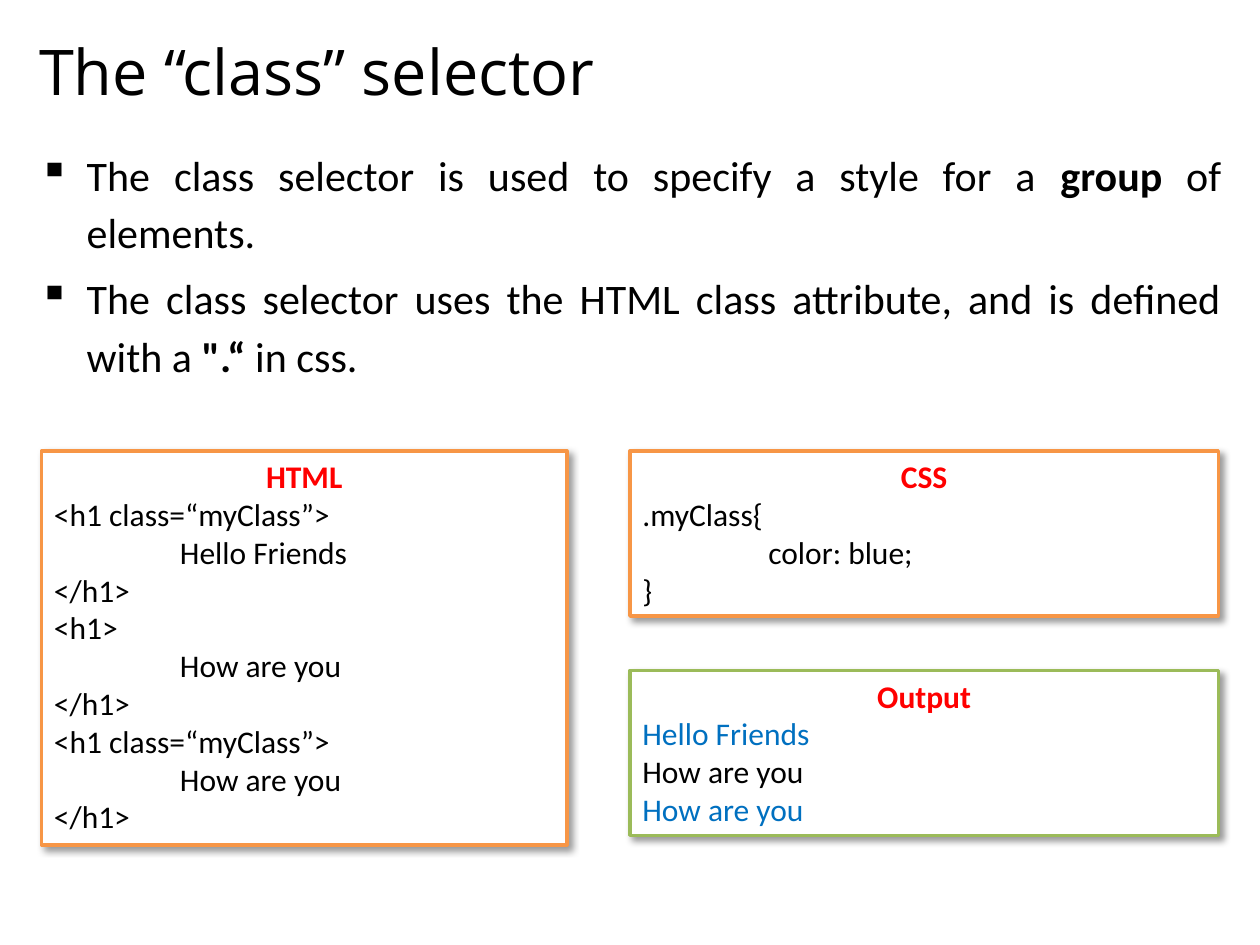
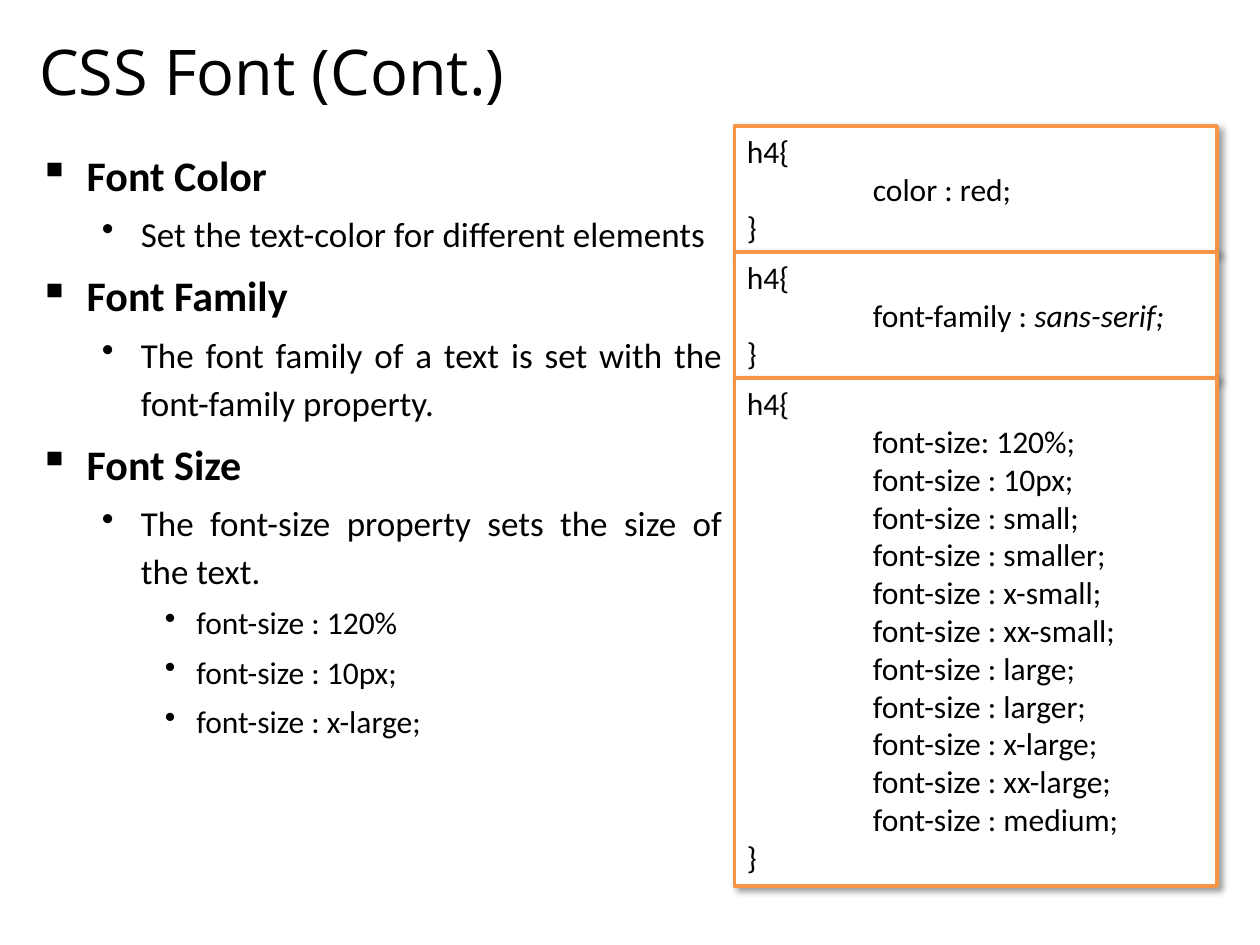
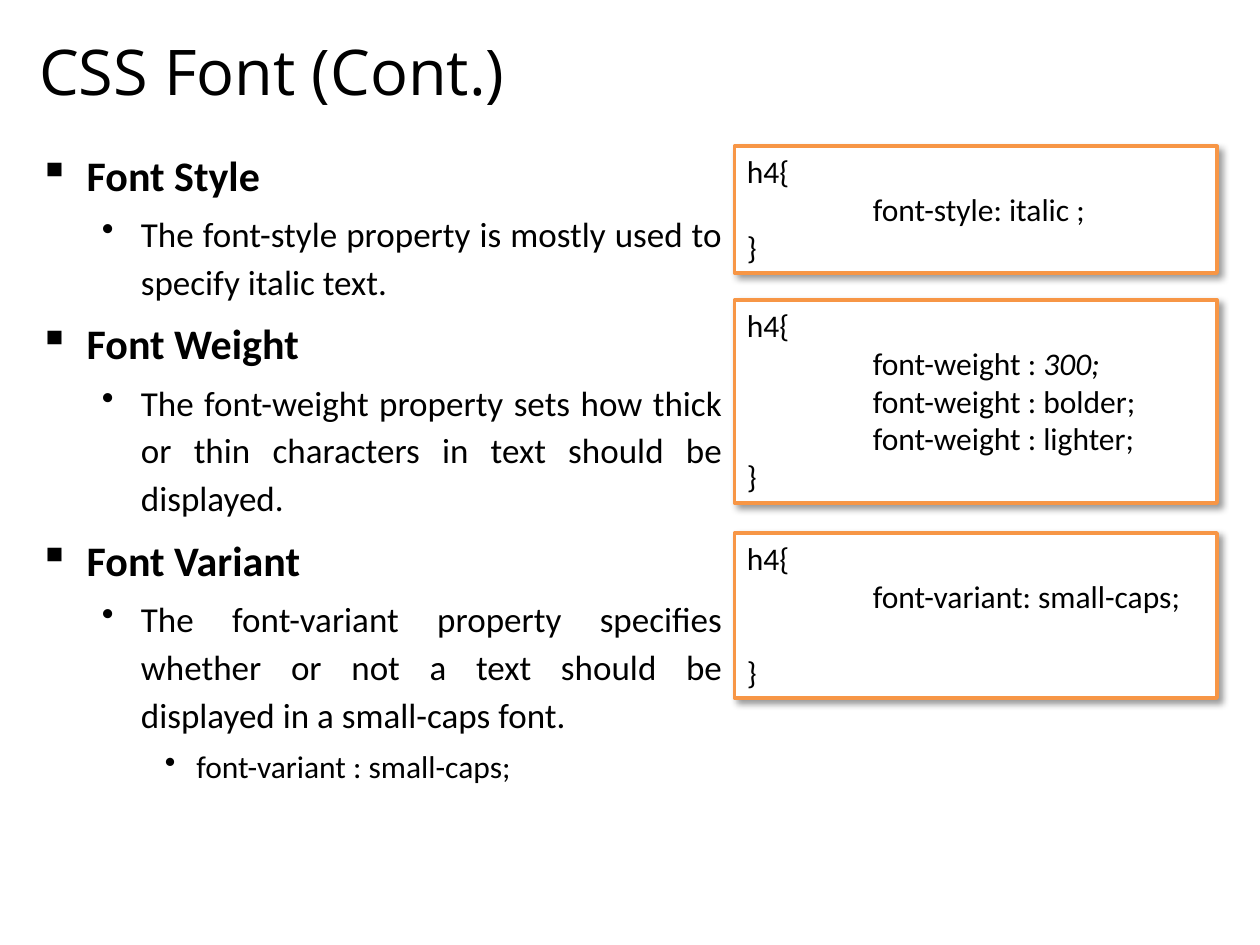
from lxml.etree import SubElement
from pptx import Presentation
from pptx.dml.color import RGBColor
from pptx.enum.shapes import MSO_SHAPE
from pptx.enum.text import MSO_ANCHOR as ANCHOR, MSO_AUTO_SIZE as FIT, PP_ALIGN as ALIGN
from pptx.oxml import parse_xml
from pptx.oxml.ns import nsdecls, qn
from pptx.util import Inches, Pt

COLORS = {"text": "000000", "head": "FF0000", "blue": "0070C0", "white": "FFFFFF",
          "orange": "F79646", "green": "9BBB59"}
BODY = {"line_spacing": 1.14, "alignment": ALIGN.JUSTIFY}
SQUARE = {"bullet": "▪", "margin": 0.38, "hang": 0.38}
STYLES = {
    "title": {"size": 36, "font": "Open Sans", "para": {"alignment": ALIGN.LEFT}},
    "lead": {"size": 24, "para": {**BODY, "space_before": Pt(4.8)}, **SQUARE},
    "topic": {"size": 24, "bold": True, **SQUARE,
              "para": {**BODY, "space_before": Pt(4.8), "alignment": ALIGN.LEFT}},
    "point": {"size": 20, "para": {**BODY, "space_before": Pt(4)}, "level": 1,
              "bullet": "•", "margin": 0.81, "hang": 0.31},
    "item": {"size": 18, "para": {**BODY, "space_before": Pt(3.6)}, "level": 2,
             "bullet": "•", "margin": 1.25, "hang": 0.25},
    "head": {"color": "head", "bold": True, "para": {"alignment": ALIGN.CENTER}},
    "code": {"accent": "italic"},
    "inner": {"accent": "italic", "margin": 1},
    "spaced": {"para": {"alignment": ALIGN.LEFT, "space_before": Pt(22)}},
    "blue": {"color": "blue"},
}
SHADOW = (f'<a:effectLst {nsdecls("a")}><a:outerShdw blurRad="{Pt(4)}" dist="{Pt(3)}" '
          'dir="2700000" algn="tl" rotWithShape="0"><a:srgbClr val="000000">'
          '<a:alpha val="40000"/></a:srgbClr></a:outerShdw></a:effectLst>')


def write(tf, lines):
    for i, (name, text) in enumerate(lines):
        style = STYLES[name]
        p = tf.paragraphs[0] if i == 0 else tf.add_paragraph()
        p.level = style.get("level", 0)
        for key, value in style.get("para", {"alignment": ALIGN.LEFT}).items():
            setattr(p, key, value)
        pPr = p._p.get_or_add_pPr()
        pPr.set("marL", str(Inches(style.get("margin", 0))))
        pPr.set("indent", str(-Inches(style.get("hang", 0))))
        if "bullet" in style:
            SubElement(pPr, qn("a:buChar"), char=style["bullet"])
        for j, part in enumerate(text.split("*")):
            if not part:
                continue
            r = p.add_run()
            r.text = part
            font = {"name": style.get("font", "Calibri"), "size": Pt(style.get("size", 18)),
                    "bold": style.get("bold", False)}
            if j % 2:
                font[style.get("accent", "bold")] = True
            for key, value in font.items():
                setattr(r.font, key, value)
            r.font.color.rgb = RGBColor.from_string(COLORS[style.get("color", "text")])


def rule(*inner):
    return [("code", "h4{"), *[("inner", text) for text in inner], ("code", "}")]


html = [("head", "HTML")]
for tag, text in [("<h1 class=“myClass”>", "Hello Friends"), ("<h1>", "How are you"),
                  ("<h1 class=“myClass”>", "How are you")]:
    html += [("code", tag), ("inner", text), ("code", "</h1>")]
css = [("head", "CSS"), ("code", ".myClass{"), ("inner", "color: blue;"), ("code", "}")]
output = [("head", "Output"), ("blue", "Hello Friends"), ("code", "How are you"),
          ("blue", "How are you")]
sizes = ["small", "smaller", "x-small", "xx-small", "large", "larger", "x-large",
         "xx-large", "medium"]
size_rule = rule("font-size: 120%;", "font-size : 10px;", *[f"font-size : {v};" for v in sizes])
variant_rule = rule("font-variant: small-caps;")[:-1] + [("spaced", "}")]

SLIDES = [
    {"title": "The “class” selector", "body": (9.58, 2.25), "lines": [
        ("lead", "The class selector is used to specify a style for a *group* of elements. "),
        ("lead", "The class selector uses the HTML class attribute, and is defined with a "
                 "*\".“* in css.")],
     "panels": [(0.33, 3.58, 4.17, "orange", html), (5, 3.58, 4.67, "orange", css),
                (5, 5.32, 4.67, "green", output)]},
    {"title": "CSS Font (Cont.)", "body": (5.62, 5.83), "lines": [
        ("topic", "Font Color"),
        ("point", "Set the text-color for different elements"),
        ("topic", "Font Family"),
        ("point", "The font family of a text is set with the font-family property."),
        ("topic", "Font Size"),
        ("point", "The font-size property sets the size of the text."),
        ("item", "font-size : 120%"),
        ("item", "font-size : 10px;"),
        ("item", "font-size : x-large;")],
     "panels": [(5.83, 1, 3.83, "orange", rule("color : red;")),
                (5.83, 2, 3.83, "orange", rule("font-family : *sans-serif;*")),
                (5.83, 3, 3.83, "orange", size_rule)]},
    {"title": "CSS Font (Cont.)", "body": (5.62, 5.83), "lines": [
        ("topic", "Font Style"),
        ("point", "The font-style property is mostly used to specify italic text."),
        ("topic", "Font Weight"),
        ("point", "The font-weight property sets how thick or thin characters in text "
                  "should be displayed."),
        ("topic", "Font Variant"),
        ("point", "The font-variant property specifies whether or not a text should be "
                  "displayed in a small-caps font."),
        ("item", "font-variant : small-caps;")],
     "panels": [(5.83, 1.16, 3.83, "orange", rule("font-style: italic ;")),
                (5.83, 2.38, 3.83, "orange", rule("font-weight : *300;*", "font-weight : bolder;",
                                                  "font-weight : lighter;")),
                (5.83, 4.23, 3.83, "orange", variant_rule)]},
]

prs = Presentation()
prs.slide_width, prs.slide_height = Inches(10), Inches(7.5)

for page in SLIDES:
    s = prs.slides.add_slide(prs.slide_layouts[5])
    title = s.shapes.title
    title.left, title.top, title.width, title.height = map(Inches, (0.21, 0.12, 9.58, 0.88))
    title.text_frame.vertical_anchor = ANCHOR.MIDDLE
    write(title.text_frame, [("title", page["title"])])

    tf = s.shapes.add_textbox(*map(Inches, (0.21, 1.08, *page["body"]))).text_frame
    tf.word_wrap = True
    write(tf, page["lines"])

    for left, top, width, color, lines in page["panels"]:
        rows = len(lines) + sum(name == "spaced" for name, _ in lines)
        height = 0.1 + rows * 18 * 1.21 / 72
        sp = s.shapes.add_shape(MSO_SHAPE.RECTANGLE, *map(Inches, (left, top, width, height)))
        sp.fill.solid()
        sp.fill.fore_color.rgb = RGBColor.from_string(COLORS["white"])
        sp.line.color.rgb = RGBColor.from_string(COLORS[color])
        sp.line.width = Pt(2)
        sp._element.spPr.append(parse_xml(SHADOW))
        tf = sp.text_frame
        for key, value in {"word_wrap": True, "vertical_anchor": ANCHOR.TOP,
                           "auto_size": FIT.SHAPE_TO_FIT_TEXT}.items():
            setattr(tf, key, value)
        write(tf, lines)

prs.save("out.pptx")
